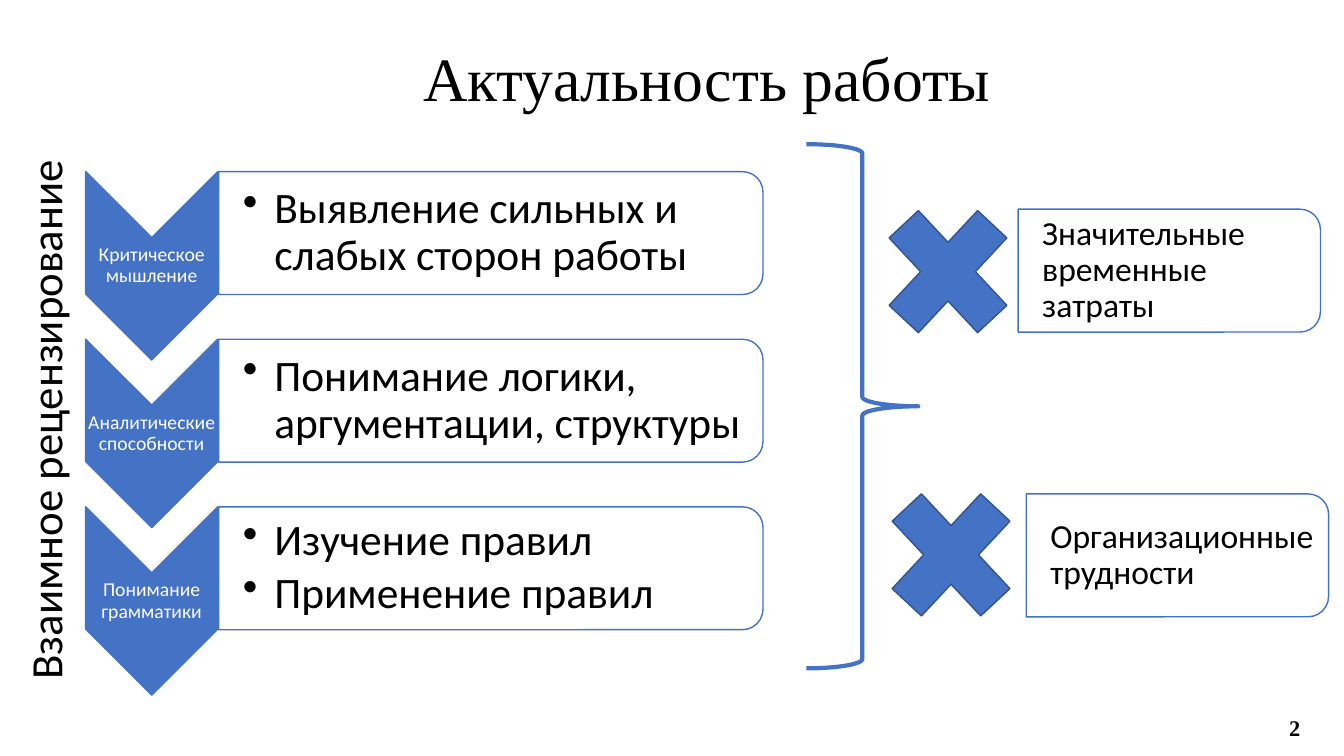
from lxml.etree import SubElement
from pptx import Presentation
from pptx.dml.color import RGBColor
from pptx.enum.shapes import MSO_SHAPE
from pptx.enum.text import MSO_ANCHOR, MSO_AUTO_SIZE, PP_ALIGN
from pptx.oxml.ns import qn
from pptx.util import Pt

BLUE, DARK_BLUE, WHITE, BLACK = "4472C4", "325491", "FFFFFF", "000000"


def color(value):
    """Turn a hex string into a colour."""
    return RGBColor.from_string(value)


class SlideBuilder:
    """Holds the text style and the slide being built."""

    def __init__(self, slide, font="Calibri"):
        self.slide = slide
        self.font = font

    def fill_text(self, shape, lines, size, ink=BLACK, font=None, bold=False,
                  align=PP_ALIGN.LEFT, spacing=0.9, after=0, insets=(7.2, 3.6), wrap=True):
        """Fill a text frame with evenly formatted paragraphs."""
        frame = shape.text_frame
        frame.auto_size = MSO_AUTO_SIZE.NONE
        frame.word_wrap = wrap
        frame.vertical_anchor = MSO_ANCHOR.MIDDLE
        frame.margin_left = Pt(insets[0])
        frame.margin_right = Pt(insets[0] if insets[0] < 10 else insets[1])
        frame.margin_top = frame.margin_bottom = Pt(insets[1])
        frame.text = "\n".join(lines)
        for paragraph in frame.paragraphs:
            paragraph.alignment = align
            paragraph.line_spacing = spacing
            paragraph.space_before = Pt(0)
            paragraph.space_after = Pt(after)
            paragraph.font.size = Pt(size)
            paragraph.font.name = font or self.font
            paragraph.font.bold = bold
            paragraph.font.color.rgb = color(ink)

    def title(self, text, left, top, width, height):
        """Place and format the title placeholder."""
        shape = self.slide.shapes.title
        shape.left, shape.top, shape.width, shape.height = map(Pt, (left, top, width, height))
        self.fill_text(shape, [text], 44, font="Times New Roman", align=PP_ALIGN.CENTER)

    def text(self, lines, left, top, width, height, size, rotation=0, **style):
        """Add a text box."""
        shape = self.slide.shapes.add_textbox(Pt(left), Pt(top), Pt(width), Pt(height))
        shape.rotation = rotation
        self.fill_text(shape, lines, size, **style)
        return shape

    def shape(self, kind, left, top, width, height, fill=None, line=BLUE, weight=1):
        """Add a preset shape."""
        shape = self.slide.shapes.add_shape(kind, Pt(left), Pt(top), Pt(width), Pt(height))
        shape.shadow.inherit = False
        if fill:
            shape.fill.solid()
            shape.fill.fore_color.rgb = color(fill)
        else:
            shape.fill.background()
        shape.line.color.rgb = color(line)
        shape.line.width = Pt(weight)
        return shape

    def turned_shape(self, kind, left, top, width, height, fill):
        """Add a shape turned a quarter clockwise that covers the given area."""
        shift = (width - height) / 2
        shape = self.shape(kind, left + shift, top - shift, height, width, fill)
        shape.rotation = 90

    def card(self, lines, left, top, width, size, bulleted=False):
        """Add an outlined card, rounded on the right, with its text."""
        self.turned_shape(MSO_SHAPE.ROUND_2_SAME_RECTANGLE, left, top, width, 87.8, WHITE)
        shape = self.text(lines, left, top + 4.3, width - 3, 79.2, size,
                          after=size * 0.15, insets=(17.3, 1.4))
        if bulleted:
            for paragraph in shape.text_frame.paragraphs:
                properties = paragraph._p.get_or_add_pPr()
                properties.set("marL", str(Pt(22.5)))
                properties.set("indent", str(-Pt(22.5)))
                SubElement(properties, qn("a:buChar"), char="•")

    def step(self, label, lines, top):
        """Add a downward chevron with its label and card."""
        self.turned_shape(MSO_SHAPE.CHEVRON, 61.2, top, 94.3, 134.6, BLUE)
        self.text([label], 61.2, top + 47.2, 94.3, 40.3, 14, ink=WHITE,
                  align=PP_ALIGN.CENTER, insets=(0.7, 0.7))
        self.card(lines, 156.2, top, 388.8, 31, bulleted=True)


def main():
    """Build and save the slide."""
    presentation = Presentation()
    presentation.slide_width, presentation.slide_height = Pt(960), Pt(540)
    slide = presentation.slides.add_slide(presentation.slide_layouts[5])
    builder = SlideBuilder(slide)

    builder.title("Актуальность работы", 263.5, 5.8, 483.1, 104.4)
    builder.text(["2"], 720, 505.4, 216, 28.8, 16, font="Times New Roman",
                 bold=True, align=PP_ALIGN.RIGHT, spacing=1)

    steps = [
        ("Критическое мышление", ["Выявление сильных и слабых сторон работы"]),
        ("Аналитические способности", ["Понимание логики, аргументации, структуры"]),
        ("Понимание грамматики", ["Изучение правил", "Применение правил"]),
    ]
    for index, (label, lines) in enumerate(steps):
        builder.step(label, lines, 122.6 + index * 119.7)

    builder.shape(MSO_SHAPE.RIGHT_BRACE, 576, 103, 79.9, 374.4, weight=3)

    drawbacks = [
        ("Значительные временные затраты", 616.3, 128.9, 727.2, 149.4),
        ("Организационные трудности", 618.5, 331.2, 733, 352.8),
    ]
    for text, cross_left, cross_top, card_left, card_top in drawbacks:
        builder.shape(MSO_SHAPE.MATH_MULTIPLY, cross_left, cross_top, 121.7, 130.3,
                      BLUE, DARK_BLUE)
        builder.card([text], card_left, card_top, 216, 24)

    builder.text(["Взаимное рецензирование"], -162.7, 275, 388.8, 46.1, 32,
                 rotation=270, spacing=1, wrap=False)
    presentation.save("out.pptx")


if __name__ == "__main__":
    main()
